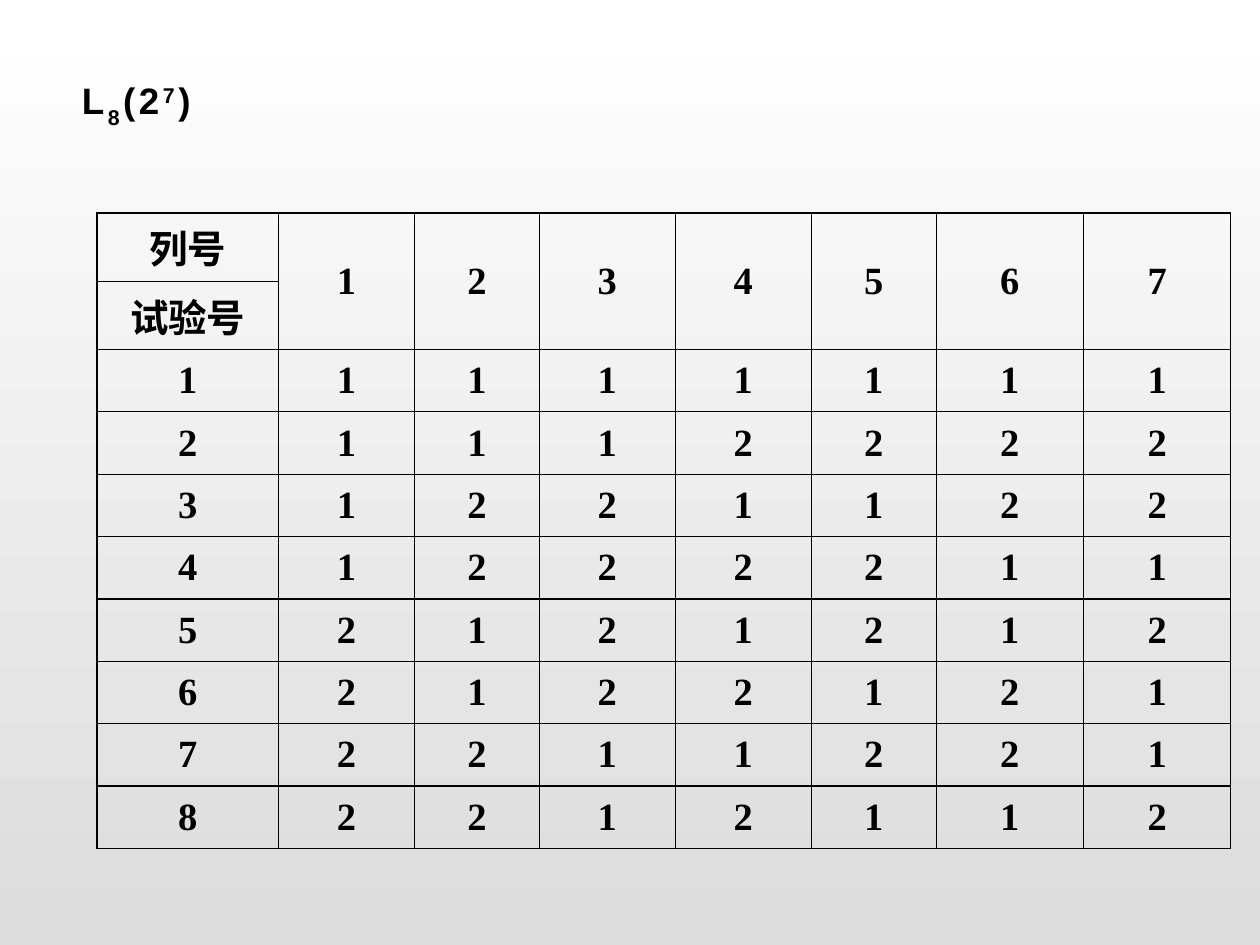
from lxml.etree import SubElement
from pptx import Presentation
from pptx.dml.color import RGBColor
from pptx.enum.text import MSO_ANCHOR, PP_ALIGN
from pptx.oxml.ns import qn
from pptx.util import Inches, Pt

BLACK = RGBColor(0, 0, 0)
WHITE = RGBColor(255, 255, 255)
GREY = RGBColor(0xDC, 0xDC, 0xDC)

COLUMN_WIDTHS = [1.44, 1.08, 0.99, 1.08, 1.08, 0.99, 1.17, 1.17]
ROW_HEIGHT = 0.495
HEADER_ROWS = 2
LEVELS = ["1111111", "1112222", "1221122", "1222211",
          "2121212", "2122121", "2211221", "2212112"]


def add_text(p, text, font="Times New Roman", size=22, baseline=0, spacing=0):
    """Add a bold black run; baseline is a percentage, spacing is in points."""
    r = p.add_run()
    r.text = text
    r.font.name, r.font.size, r.font.bold = font, Pt(size), True
    r.font.color.rgb = BLACK
    rPr = r._r.get_or_add_rPr()
    if baseline:
        rPr.set("baseline", str(baseline * 1000))
    if spacing:
        rPr.set("spc", str(spacing * 100))


def set_background(s):
    fill = s.background.fill
    fill.gradient()
    fill.gradient_angle = 270
    for stop, color in zip(fill.gradient_stops, (WHITE, GREY)):
        stop.color.rgb = color


def fill_title(s, left, top, width, height):
    sp = s.shapes.title
    sp.left, sp.top, sp.width, sp.height = map(Inches, (left, top, width, height))
    tf = sp.text_frame
    tf.word_wrap = True
    tf.vertical_anchor = MSO_ANCHOR.MIDDLE
    p = tf.paragraphs[0]
    p.alignment = PP_ALIGN.LEFT
    for text, baseline in (("L", 0), ("8", -30), ("(2", 0), ("7", 30), (")", 0)):
        add_text(p, text, font="Arial", size=21, baseline=baseline, spacing=2)


def format_cell(cell):
    """Give the cell thin black borders, no fill and a middle anchor."""
    tcPr = cell._tc.get_or_add_tcPr()
    for side in ("lnL", "lnR", "lnT", "lnB"):
        ln = SubElement(tcPr, qn(f"a:{side}"), w=str(Pt(0.75)))
        color = SubElement(SubElement(ln, qn("a:solidFill")), qn("a:srgbClr"))
        color.set("val", str(BLACK))
    cell.fill.background()
    cell.vertical_anchor = MSO_ANCHOR.MIDDLE


def add_array_table(s, left, top):
    rows = [["列号", *"1234567"], ["试验号"] + [""] * 7]
    rows += [[str(run), *levels] for run, levels in enumerate(LEVELS, 1)]
    table = s.shapes.add_table(
        len(rows), len(COLUMN_WIDTHS), Inches(left), Inches(top),
        Inches(sum(COLUMN_WIDTHS)), Inches(ROW_HEIGHT * len(rows))).table
    table.first_row = table.horz_banding = False
    for column, width in zip(table.columns, COLUMN_WIDTHS):
        column.width = Inches(width)
    for i, row in enumerate(rows):
        table.rows[i].height = Inches(ROW_HEIGHT)
        for j, text in enumerate(row):
            cell = table.cell(i, j)
            format_cell(cell)
            p = cell.text_frame.paragraphs[0]
            p.alignment = PP_ALIGN.CENTER
            if text:
                add_text(p, text)
    for j in range(1, len(COLUMN_WIDTHS)):
        table.cell(0, j).merge(table.cell(HEADER_ROWS - 1, j))


def main():
    prs = Presentation()
    prs.slide_width, prs.slide_height = Inches(10), Inches(7.5)
    s = prs.slides.add_slide(prs.slide_layouts[5])
    set_background(s)
    fill_title(s, 0.55, 0.47, 8.9, 0.71)
    add_array_table(s, 0.77, 1.69)
    prs.save("out.pptx")


if __name__ == "__main__":
    main()
